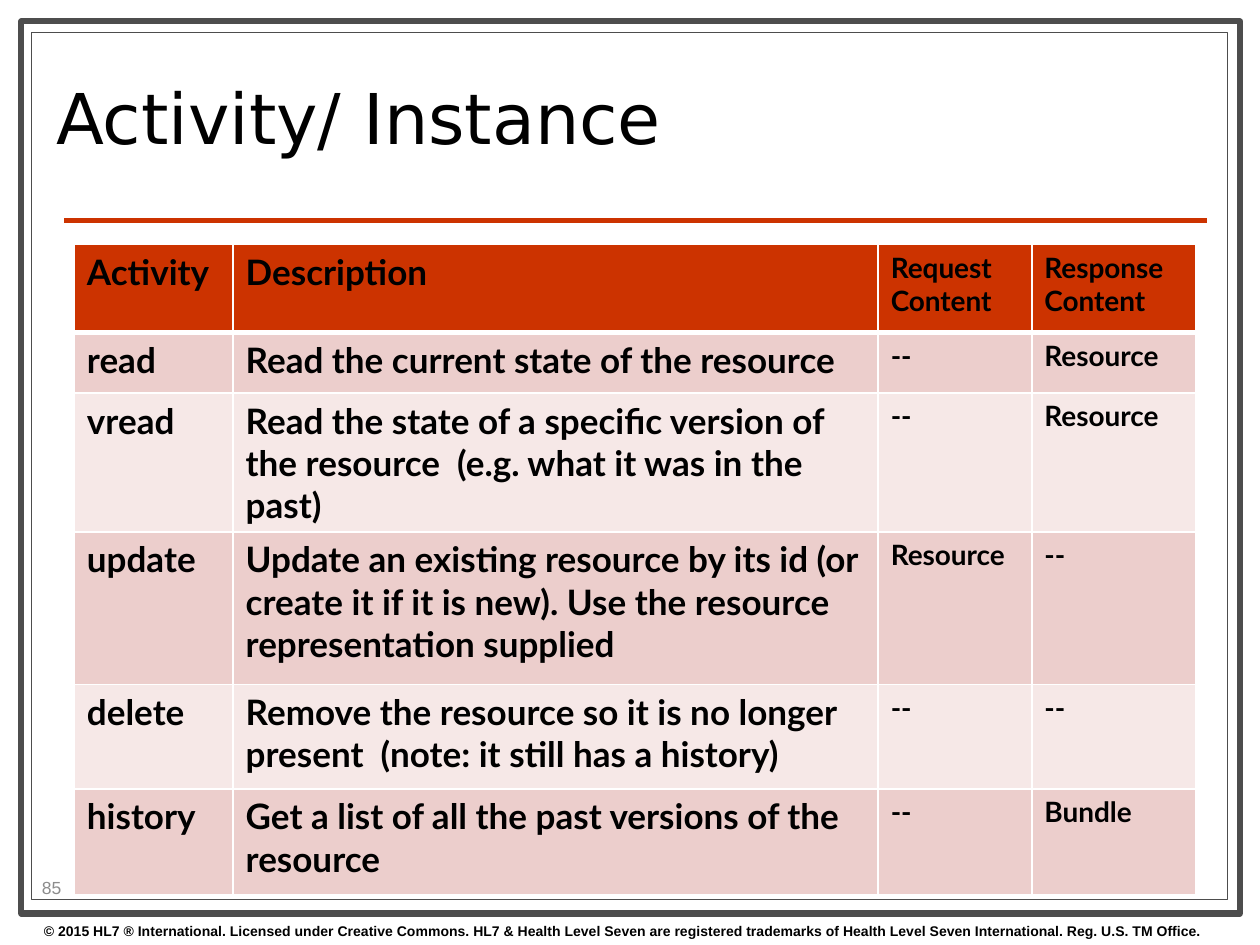
from lxml.etree import SubElement
from pptx import Presentation
from pptx.dml.color import RGBColor
from pptx.enum.shapes import MSO_CONNECTOR, MSO_SHAPE
from pptx.enum.text import MSO_ANCHOR, PP_ALIGN
from pptx.oxml.ns import qn
from pptx.util import Inches, Pt

BLACK, WHITE, GREY = "000000", "FFFFFF", "4D4D4D"
ACCENT, BAND_DARK, BAND_LIGHT = "CC3300", "ECCECC", "F6E8E7"

COLUMNS = [1.26, 5.12, 1.22, 1.3]
ROWS = [0.7, 0.48, 0.88, 1.21, 0.83, 0.84]
COLUMN_SIZES = [20, 20, 16, 16]
ACTIVITIES = [
    ("Activity", "Description", "Request Content", "Response Content"),
    ("read", "Read the current state of the resource", "--", "Resource"),
    ("vread", "Read the state of a specific version of the resource  "
     "(e.g. what it was in the past)", "--", "Resource"),
    ("update", "Update an existing resource by its id (or create it if it is new). "
     "Use the resource representation supplied", "Resource", "--"),
    ("delete", "Remove the resource so it is no longer present  "
     "(note: it still has a history)", "--", "--"),
    ("history", "Get a list of all the past versions of the resource", "--", "Bundle"),
]


def color(code):
    return RGBColor.from_string(code)


def box(left, top, width, height):
    return [Inches(v) for v in (left, top, width, height)]


def write(frame, text, font_name, size, ink=BLACK, bold=False):
    frame.word_wrap = True
    paragraph = frame.paragraphs[0]
    paragraph.text = text
    font = paragraph.font
    font.name, font.size, font.bold = font_name, Pt(size), bold
    font.color.rgb = color(ink)
    return paragraph


def add_frame(slide, place, weight):
    frame = slide.shapes.add_shape(MSO_SHAPE.RECTANGLE, *box(*place))
    frame.shadow.inherit = False
    frame.fill.solid()
    frame.fill.fore_color.rgb = color(WHITE)
    frame.line.color.rgb = color(GREY)
    frame.line.width = Pt(weight)


def add_rule(slide, left, right, y):
    rule = slide.shapes.add_connector(
        MSO_CONNECTOR.STRAIGHT, Inches(left), Inches(y), Inches(right), Inches(y))
    rule.line.color.rgb = color(ACCENT)
    rule.line.width = Pt(3)
    SubElement(rule._element.spPr, qn("a:effectLst"))


def add_label(slide, place, text, font_name, size, bold=False):
    label = slide.shapes.add_textbox(*box(*place)).text_frame
    label.vertical_anchor = MSO_ANCHOR.MIDDLE
    return write(label, text, font_name, size, bold=bold)


def add_page_number(slide, place, number):
    badge = slide.shapes.add_shape(MSO_SHAPE.OVAL, *box(*place))
    badge.shadow.inherit = False
    badge.fill.background()
    badge.line.fill.background()
    frame = badge.text_frame
    frame.margin_left = frame.margin_right = 0
    frame.vertical_anchor = MSO_ANCHOR.MIDDLE
    write(frame, number, "Arial", 10, "8C8C8C").alignment = PP_ALIGN.CENTER


def border_cell(cell, bottom):
    properties = cell._tc.get_or_add_tcPr()
    weights = {"a:lnL": 1, "a:lnR": 1, "a:lnT": 1, "a:lnB": bottom}
    for side, weight in weights.items():
        edge = SubElement(properties, qn(side), w=str(Pt(weight)))
        ink = SubElement(edge, qn("a:solidFill"))
        SubElement(ink, qn("a:srgbClr"), val=WHITE)


def add_activity_table(slide, left, top):
    table = slide.shapes.add_table(
        len(ROWS), len(COLUMNS), *box(left, top, sum(COLUMNS), sum(ROWS))).table
    for column, width in zip(table.columns, COLUMNS):
        column.width = Inches(width)
    for r, (row, height, texts) in enumerate(zip(table.rows, ROWS, ACTIVITIES)):
        row.height = Inches(height)
        band = ACCENT if r == 0 else BAND_DARK if r % 2 else BAND_LIGHT
        for cell, text, size in zip(row.cells, texts, COLUMN_SIZES):
            write(cell.text_frame, text, "Lato", size, bold=True)
            # Borders come before the fill in the cell properties
            border_cell(cell, bottom=1 if r else 3)
            cell.fill.solid()
            cell.fill.fore_color.rgb = color(band)


def main():
    deck = Presentation()
    deck.slide_width, deck.slide_height = Inches(10), Inches(7.5)
    slide = deck.slides.add_slide(deck.slide_layouts[6])

    # Double frame, rule and copyright line
    add_frame(slide, (0.17, 0.17, 9.67, 7.08), 3.5)
    add_frame(slide, (0.25, 0.26, 9.49, 6.88), 0.75)
    add_rule(slide, 0.51, 9.58, 1.75)
    add_label(
        slide, (0.25, 7.27, 10, 0.23),
        "© 2015 HL7 ® International. Licensed under Creative Commons. "
        "HL7 & Health Level Seven are registered trademarks of "
        "Health Level Seven International. Reg. U.S. TM Office.",
        "Arial", 8, bold=True)

    # Title
    title = add_label(slide, (0.35, 0.36, 7.17, 1.26),
                      "Activity/ Instance", "DejaVu Sans", 40)
    title.line_spacing = 0.8

    # Activities and page number
    add_activity_table(slide, 0.59, 1.94)
    add_page_number(slide, (0.16, 6.79, 0.5, 0.5), "85")

    deck.save("out.pptx")


if __name__ == "__main__":
    main()
